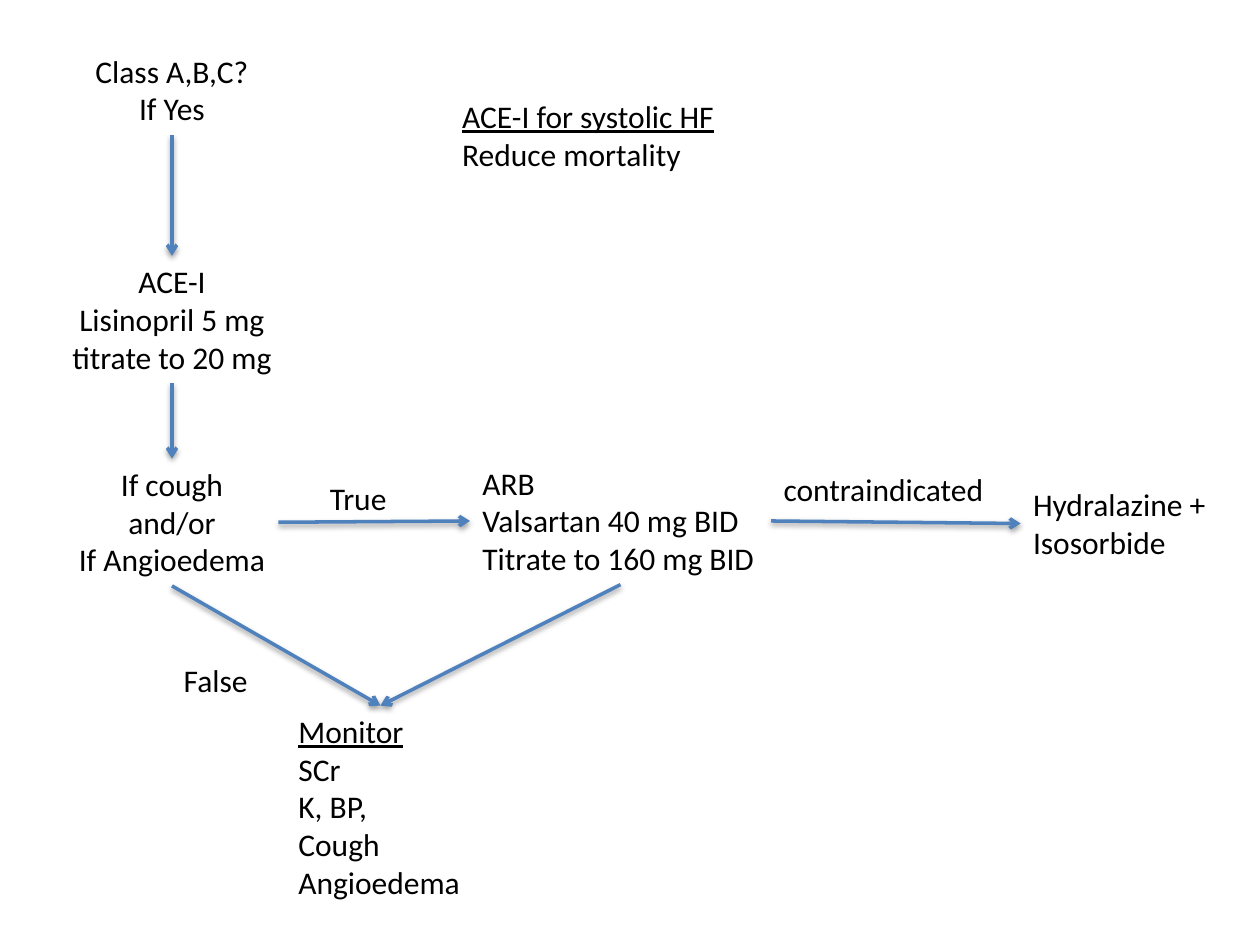
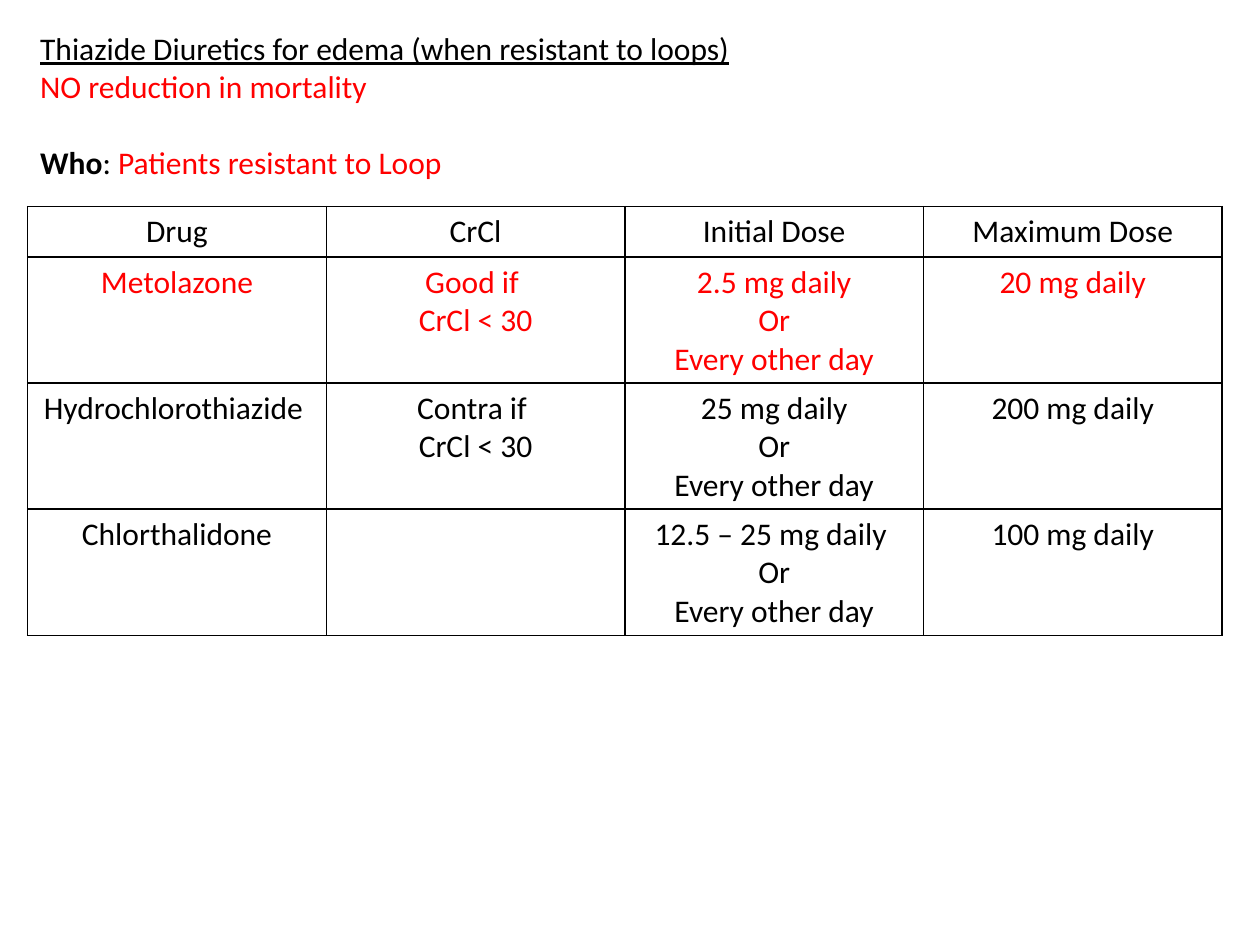
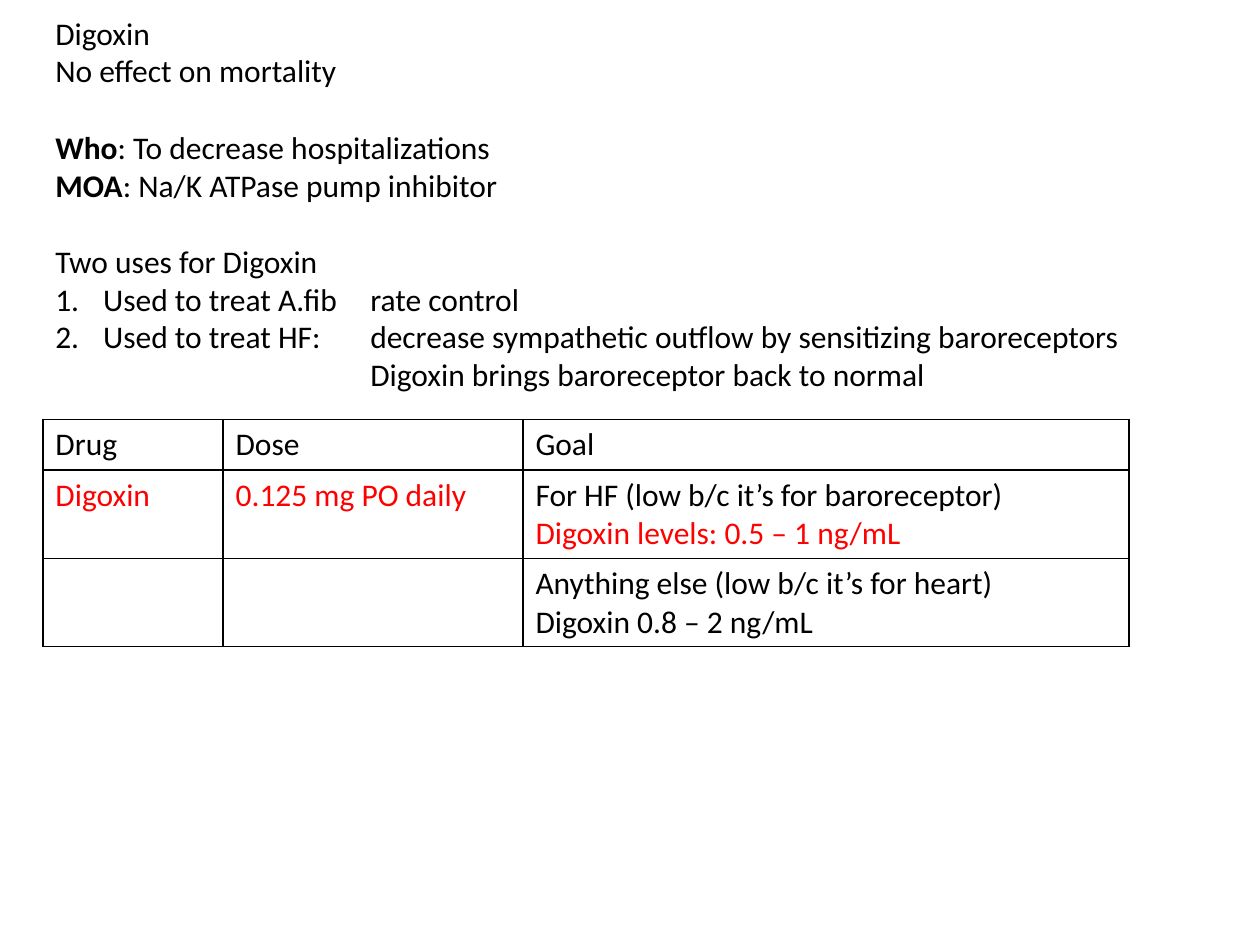
import pptx
import pptx.dml.color
import pptx.enum.shapes
import pptx.enum.text
import pptx.oxml
import pptx.oxml.ns
from pptx.util import Inches, Pt

FONT = "Calibri"
BLACK, RED, BLUE = "000000", "FF0000", "4F81BD"
LEFT = pptx.enum.text.PP_ALIGN.LEFT
CENTER = pptx.enum.text.PP_ALIGN.CENTER
DRAWING = pptx.oxml.ns.nsdecls("a")
color = pptx.dml.color.RGBColor.from_string


def write(frame, lines, align=LEFT):
    """Fill a text frame; a line is a string or a list of (text, style) spans."""
    for number, line in enumerate(lines):
        para = frame.paragraphs[0] if number == 0 else frame.add_paragraph()
        para.alignment = align
        para.font.name, para.font.size = FONT, Pt(18)
        for text, style in [(line, "")] if isinstance(line, str) else line:
            span = para.add_run()
            span.text = text
            span.font.color.rgb = color(RED if style == "red" else BLACK)
            if style == "bold":
                span.font.bold = True
            if style == "underline":
                span.font.underline = True


def add_grid(page, left, top, widths, rows, align):
    """Add a black-ruled table whose row heights follow the number of lines."""
    heights = [0.1 + 0.3 * max(len(lines) for lines in row) for row in rows]
    table = page.shapes.add_table(
        len(rows), len(widths), Inches(left), Inches(top),
        Inches(sum(widths)), Inches(sum(heights))).table
    table.first_row = table.horz_banding = False
    for column, width in zip(table.columns, widths):
        column.width = Inches(width)
    for row_number, row in enumerate(rows):
        table.rows[row_number].height = Inches(heights[row_number])
        for column_number, lines in enumerate(row):
            cell = table.cell(row_number, column_number)
            write(cell.text_frame, lines or [""], align)
            properties = cell._tc.get_or_add_tcPr()
            for side in "LRTB":
                properties.append(pptx.oxml.parse_xml(
                    f'<a:ln{side} {DRAWING} w="12700"><a:solidFill>'
                    f'<a:srgbClr val="{BLACK}"/></a:solidFill></a:ln{side}>'))
            cell.fill.background()


deck = pptx.Presentation()
deck.slide_width, deck.slide_height = Inches(10), Inches(7.5)
blank = deck.slide_layouts[6]

# Slide 1: ACE inhibitor flowchart
page = deck.slides.add_slide(blank)
flow_texts = {
    "class": (0.65, 0.36, 1.43, 0.71, CENTER, ["Class A,B,C?", "If Yes"]),
    "ace": (0.46, 2.03, 1.81, 1.01, CENTER,
            ["ACE-I", "Lisinopril 5 mg", "titrate to 20 mg"]),
    "cough": (0.52, 3.64, 1.69, 1.01, CENTER,
              ["If cough", "and/or", "If Angioedema"]),
    "arb": (3.73, 3.63, 2.39, 1.01, LEFT,
            ["ARB", "Valsartan 40 mg BID", "Titrate to 160 mg BID"]),
    "monitor": (2.27, 5.6, 1.5, 1.62, LEFT,
                [[("Monitor", "underline")], "SCr", "K, BP,", "Cough", "Angioedema"]),
    "heading": (3.57, 0.72, 2.24, 0.71, LEFT,
                [[("ACE-I for systolic HF", "underline")], "Reduce mortality"]),
    "true": (2.52, 3.75, 0.67, 0.4, LEFT, ["True"]),
    "false": (1.36, 5.2, 0.72, 0.4, LEFT, ["False"]),
    "contraindicated": (6.12, 3.68, 1.82, 0.4, LEFT, ["contraindicated"]),
    "hydralazine": (8.1, 3.8, 1.59, 0.71, LEFT, ["Hydralazine +", "Isosorbide"]),
}
boxes = {}
for name, (left, top, width, height, align, lines) in flow_texts.items():
    box = page.shapes.add_textbox(Inches(left), Inches(top), Inches(width), Inches(height))
    box.text_frame.word_wrap = False
    box.text_frame.auto_size = pptx.enum.text.MSO_AUTO_SIZE.SHAPE_TO_FIT_TEXT
    write(box.text_frame, lines, align)
    boxes[name] = box

# Connection sites: 0 top, 1 left, 2 bottom, 3 right
for start, start_side, end, end_side in [
    ("class", 2, "ace", 0),
    ("ace", 2, "cough", 0),
    ("cough", 3, "arb", 1),
    ("arb", 2, "monitor", 0),
    ("cough", 2, "monitor", 0),
    ("arb", 3, "hydralazine", 1),
]:
    arrow = page.shapes.add_connector(pptx.enum.shapes.MSO_CONNECTOR.STRAIGHT, 0, 0, 0, 0)
    arrow.begin_connect(boxes[start], start_side)
    arrow.end_connect(boxes[end], end_side)
    arrow.line.color.rgb = color(BLUE)
    arrow.line.width = Pt(2)
    arrow.line._get_or_add_ln().append(
        pptx.oxml.parse_xml(f'<a:tailEnd {DRAWING} type="arrow"/>'))

# Slide 2: thiazide diuretics
page = deck.slides.add_slide(blank)
box = page.shapes.add_textbox(Inches(0.22), Inches(0.18), Inches(9.48), Inches(1.31))
box.text_frame.word_wrap = True
write(box.text_frame, [
    [("Thiazide Diuretics for edema (when resistant to loops)", "underline")],
    [("NO reduction in mortality", "red")],
    [("Who", "bold"), (": ", ""), ("Patients resistant to Loop", "red")],
])
box.text_frame.paragraphs[2].space_before = Pt(22)

frequency = ["Or", "Every other day"]
metolazone = [["Metolazone"], ["Good if ", "CrCl < 30"],
              ["2.5 mg daily", *frequency], ["20 mg daily"]]
add_grid(page, 0.22, 1.64, [2.37] * 4, [
    [["Drug"], ["CrCl"], ["Initial Dose"], ["Maximum Dose"]],
    [[[(line, "red")] for line in lines] for lines in metolazone],
    [["Hydrochlorothiazide "], ["Contra if ", "CrCl < 30"],
     ["25 mg daily", *frequency], ["200 mg daily"]],
    [["Chlorthalidone"], [], ["12.5 – 25 mg daily ", *frequency], ["100 mg daily"]],
], CENTER)

# Slide 3: digoxin
page = deck.slides.add_slide(blank)
box = page.shapes.add_textbox(Inches(0.34), Inches(0.06), Inches(8.98), Inches(3.13))
box.text_frame.word_wrap = True
write(box.text_frame, [
    "Digoxin",
    "No effect on mortality",
    [("Who", "bold"), (": To decrease hospitalizations", "")],
    [("MOA", "bold"), (": Na/K ATPase pump inhibitor", "")],
    "Two uses for Digoxin",
    "Used to treat A.fib\trate control",
    "Used to treat HF: \tdecrease sympathetic outflow by sensitizing baroreceptors",
    "Digoxin brings baroreceptor back to normal",
])
paragraphs = box.text_frame.paragraphs
for section_start in (paragraphs[2], paragraphs[4]):
    section_start.space_before = Pt(22)
for use in paragraphs[5:7]:
    properties = use._p.get_or_add_pPr()
    properties.set("marL", str(Inches(0.38)))
    properties.set("indent", str(-Inches(0.38)))
    properties.insert(0, pptx.oxml.parse_xml(
        f'<a:buAutoNum {DRAWING} type="arabicPeriod"/>'))
paragraphs[7]._p.get_or_add_pPr().set("marL", str(Inches(2.5)))

add_grid(page, 0.34, 3.33, [1.43, 2.38, 4.81], [
    [["Drug"], ["Dose"], ["Goal"]],
    [[[("Digoxin", "red")]], [[("0.125 mg PO daily", "red")]],
     ["For HF (low b/c it’s for baroreceptor)",
      [("Digoxin levels: 0.5 – 1 ng/mL", "red")]]],
    [[], [], ["Anything else (low b/c it’s for heart)", "Digoxin 0.8 – 2 ng/mL"]],
], LEFT)

deck.save("out.pptx")
